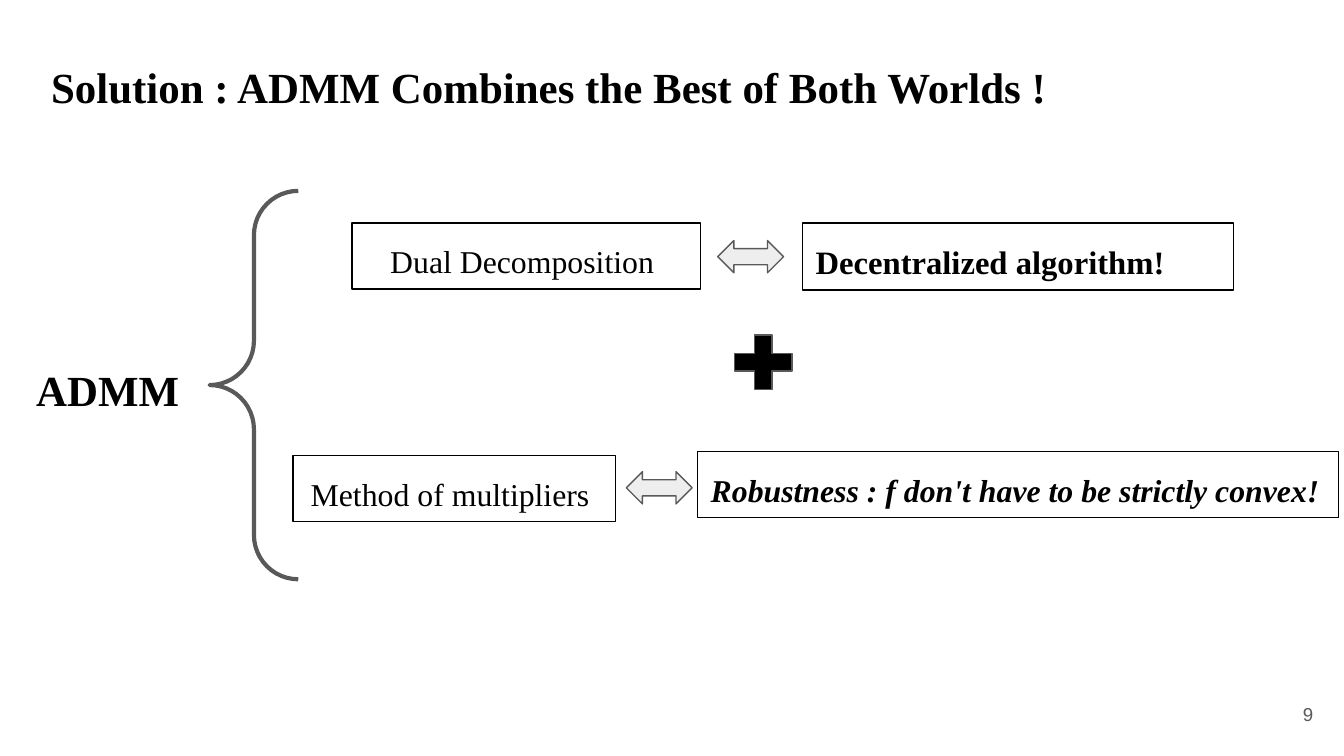
import pptx
import pptx.util
import pptx.dml.color
import pptx.enum.shapes
import pptx.enum.text

Inches = pptx.util.Inches
SHAPE = pptx.enum.shapes.MSO_SHAPE
ALIGN = pptx.enum.text.PP_ALIGN
ANCHOR = pptx.enum.text.MSO_ANCHOR
FIT = pptx.enum.text.MSO_AUTO_SIZE

COLORS = {"text": "000000", "outline": "595959", "arrow": "EEEEEE"}
SERIF, SANS = "Times New Roman", "Arial"

TITLE = "Solution : ADMM Combines the Best of Both Worlds !"
METHOD = "ADMM"
PAGE = "9"

# text, (left, top, width, height), alignment, size, bold, italic
BOXES = [
    ("Dual Decomposition ", (2.62, 1.66, 2.59, 0.49), ALIGN.CENTER, 17, False, False),
    ("Decentralized algorithm!", (5.97, 1.66, 3.21, 0.5), ALIGN.LEFT, 17.5, True, False),
    ("Method of multipliers ", (2.18, 3.39, 2.4, 0.49), ALIGN.CENTER, 17, False, False),
    ("Robustness : f don't have to be strictly convex!", (5.19, 3.36, 4.77, 0.49),
     ALIGN.LEFT, 17, True, True),
]

# preset, (left, top, width, height), adjustments, fill, line width
SYMBOLS = [
    (SHAPE.MATH_PLUS, (5.39, 2.42, 0.58, 0.55), [0.235], "text", 0.75),
    (SHAPE.LEFT_BRACE, (1.56, 1.42, 0.66, 2.89), [0.5, 0.5], None, 2.25),
    (SHAPE.LEFT_RIGHT_ARROW, (5.34, 1.79, 0.49, 0.24), [0.5, 0.5], "arrow", 0.75),
    (SHAPE.LEFT_RIGHT_ARROW, (4.66, 3.51, 0.49, 0.24), [0.5, 0.5], "arrow", 0.75),
]


def rgb(name):
    return pptx.dml.color.RGBColor.from_string(COLORS[name])


def write(sp, text, size, bold=False, italic=False, align=ALIGN.LEFT, font=SERIF,
          color="text", spacing=1.15, anchor=ANCHOR.TOP, fit=FIT.NONE):
    tf = sp.text_frame
    tf.word_wrap = True
    tf.auto_size = fit
    tf.vertical_anchor = anchor
    tf.margin_left = tf.margin_right = tf.margin_top = tf.margin_bottom = Inches(0.1)
    p = tf.paragraphs[0]
    p.alignment = align
    p.line_spacing = spacing
    p.space_before = pptx.util.Pt(0)
    r = p.add_run()
    r.text = text
    r.font.name = font
    r.font.size = pptx.util.Pt(size)
    r.font.bold = bold
    r.font.italic = italic
    r.font.color.rgb = rgb(color)


def add_shape(s, preset, place, fill, line, width):
    sp = s.shapes.add_shape(preset, *map(Inches, place))
    sp.shadow.inherit = False
    if fill:
        sp.fill.solid()
        sp.fill.fore_color.rgb = rgb(fill)
    else:
        sp.fill.background()
    sp.line.color.rgb = rgb(line)
    sp.line.width = pptx.util.Pt(width)
    return sp


def main():
    prs = pptx.Presentation()
    prs.slide_width = Inches(10)
    prs.slide_height = Inches(10 * 9 / 16)
    s = prs.slides.add_slide(prs.slide_layouts[5])

    title = s.shapes.title
    title.left, title.top, title.width, title.height = map(Inches, (0.28, 0.29, 9.32, 0.63))
    write(title, TITLE, 23, bold=True)

    for text, place, align, size, bold, italic in BOXES:
        sp = add_shape(s, SHAPE.RECTANGLE, place, None, "text", 0.75)
        write(sp, text, size, bold, italic, align, fit=FIT.SHAPE_TO_FIT_TEXT)

    for preset, place, adjustments, fill, width in SYMBOLS:
        sp = add_shape(s, preset, place, fill, "outline", width)
        for i, value in enumerate(adjustments):
            sp.adjustments[i] = value

    method = s.shapes.add_textbox(*map(Inches, (0.17, 2.55, 1.35, 0.63)))
    write(method, METHOD, 23, bold=True)

    page = s.shapes.add_textbox(*map(Inches, (9.27, 5.1, 0.6, 0.43)))
    write(page, PAGE, 10, align=ALIGN.RIGHT, font=SANS, color="outline",
          spacing=1.0, anchor=ANCHOR.MIDDLE)

    prs.save("out.pptx")


if __name__ == "__main__":
    main()
